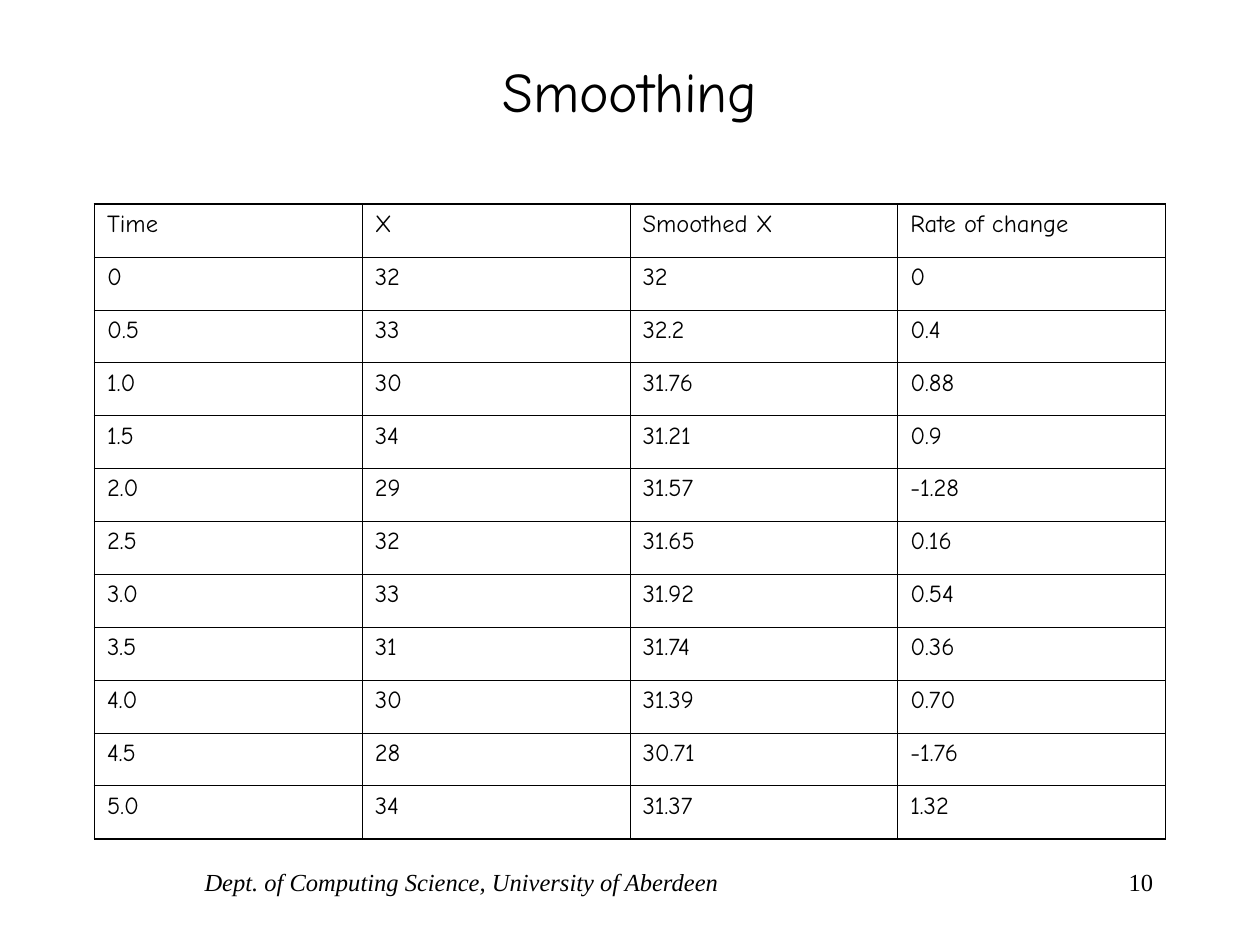
from lxml.etree import SubElement
from pptx import Presentation
from pptx.dml.color import RGBColor
from pptx.enum.text import MSO_ANCHOR, PP_ALIGN
from pptx.oxml.ns import qn
from pptx.util import Inches, Pt

BLACK = "000000"
HAND_FONT = "Comic Neue"
FOOTER_FONT = "Times New Roman"
THIN, THICK = 0.45, 1.08

READINGS = [
    ("Time", "X", "Smoothed X", "Rate of change"),
    ("0", "32", "32", "0"),
    ("0.5", "33", "32.2", "0.4"),
    ("1.0", "30", "31.76", "0.88"),
    ("1.5", "34", "31.21", "0.9"),
    ("2.0", "29", "31.57", "-1.28"),
    ("2.5", "32", "31.65", "0.16"),
    ("3.0", "33", "31.92", "0.54"),
    ("3.5", "31", "31.74", "0.36"),
    ("4.0", "30", "31.39", "0.70"),
    ("4.5", "28", "30.71", "-1.76"),
    ("5.0", "34", "31.37", "1.32"),
]


def color(hex_code):
    """Turn a hex string into a colour."""
    return RGBColor.from_string(hex_code)


def write(frame, text, font=HAND_FONT, size=14, italic=False,
          align=PP_ALIGN.LEFT, before=0):
    """Put one formatted line of text into a text frame."""
    paragraph = frame.paragraphs[0]
    paragraph.alignment = align
    paragraph.space_before = Pt(before)
    run = paragraph.add_run()
    run.text = text
    run.font.name = font
    run.font.size = Pt(size)
    run.font.italic = italic
    run.font.color.rgb = color(BLACK)


def add_label(slide, text, left, top, width, height,
              anchor=MSO_ANCHOR.TOP, **text_format):
    """Add a wrapped text box holding one line."""
    label = slide.shapes.add_textbox(
        Inches(left), Inches(top), Inches(width), Inches(height))
    frame = label.text_frame
    frame.word_wrap = True
    frame.vertical_anchor = anchor
    write(frame, text, **text_format)


def set_border(cell, side, width):
    """Draw one side (L, R, T or B) of a table cell."""
    line = SubElement(cell._tc.get_or_add_tcPr(), qn(f"a:ln{side}"),
                      w=str(Pt(width)))
    fill = SubElement(line, qn("a:solidFill"))
    SubElement(fill, qn("a:srgbClr"), val=BLACK)


def add_readings_table(slide, rows, left, top, width, height):
    """Add an evenly spaced table with a heavier outer frame."""
    last_row, last_column = len(rows) - 1, len(rows[0]) - 1
    table = slide.shapes.add_table(
        len(rows), len(rows[0]), Inches(left), Inches(top),
        Inches(width), Inches(height)).table
    table.first_row = False
    table.horz_banding = False
    for r, values in enumerate(rows):
        for c, value in enumerate(values):
            cell = table.cell(r, c)
            write(cell.text_frame, value, before=3.5)
            on_frame = {"L": c == 0, "R": c == last_column,
                        "T": r == 0, "B": r == last_row}
            for side, outer in on_frame.items():
                set_border(cell, side, THICK if outer else THIN)
            cell.fill.background()


def main():
    """Build the smoothing slide and save it."""
    deck = Presentation()
    deck.slide_width, deck.slide_height = Inches(10), Inches(7.5)
    slide = deck.slides.add_slide(deck.slide_layouts[6])
    add_label(slide, "Dept. of Computing Science, University of Aberdeen",
              0.75, 6.83, 5.83, 0.5, font=FOOTER_FONT, italic=True,
              align=PP_ALIGN.CENTER)
    add_label(slide, "10", 7.17, 6.83, 2.08, 0.5, font=FOOTER_FONT,
              align=PP_ALIGN.RIGHT)
    add_label(slide, "Smoothing", 0.75, 0.28, 8.5, 0.87, size=32,
              anchor=MSO_ANCHOR.MIDDLE, align=PP_ALIGN.CENTER)
    add_readings_table(slide, READINGS, 0.75, 1.62, 8.5, 5.04)
    deck.save("out.pptx")


if __name__ == "__main__":
    main()
